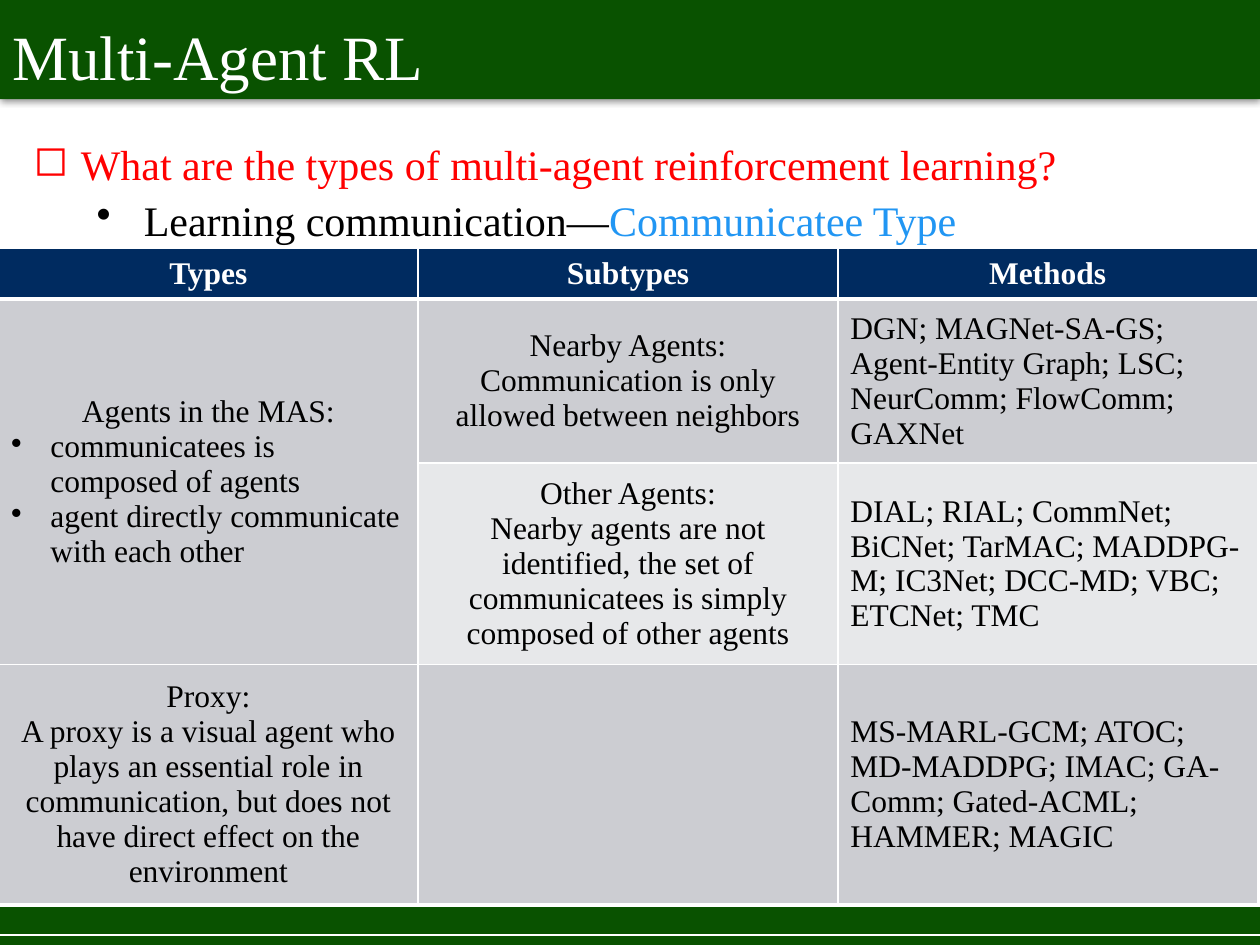
from lxml import etree
from pptx import Presentation
from pptx.dml.color import RGBColor
from pptx.enum.shapes import MSO_CONNECTOR as Connector, MSO_SHAPE as Shape
from pptx.enum.text import MSO_ANCHOR as Anchor, PP_ALIGN as Align
from pptx.oxml import parse_xml
from pptx.oxml.ns import nsdecls, qn
from pptx.util import Cm, Pt

FONT = "Times New Roman"
GREEN = RGBColor(0x09, 0x52, 0x00)
WHITE = RGBColor(0xFF, 0xFF, 0xFF)
BLACK = RGBColor(0x00, 0x00, 0x00)
RED = RGBColor(0xFF, 0x00, 0x00)
BLUE = RGBColor(0x21, 0x96, 0xF3)
NAVY = RGBColor(0x00, 0x2B, 0x60)
GREY = RGBColor(0xCC, 0xCD, 0xD2)
PALE = RGBColor(0xE7, 0xE8, 0xEA)


def set_bullet(para, mark, left, hanging):
    props = para._p.get_or_add_pPr()
    props.set("marL", str(Cm(left)))
    props.set("indent", str(-Cm(hanging)))
    etree.SubElement(props, qn("a:buChar")).set("char", mark)


def style(para, size, color, bold=False):
    para.font.name = FONT
    para.font.size = Pt(size)
    para.font.bold = bold
    para.font.color.rgb = color


deck = Presentation()
deck.slide_width, deck.slide_height = Cm(25.4), Cm(19.05)
page = deck.slides.add_slide(deck.slide_layouts[6])

# Footer and header bands
for top, height in ((18.29, 0.76), (-0.03, 2.03)):
    band = page.shapes.add_shape(Shape.RECTANGLE, 0, Cm(top), Cm(25.4), Cm(height))
    band.shadow.inherit = False
    band.fill.solid()
    band.fill.fore_color.rgb = GREEN
    band.line.fill.background()

# Soft shadow under the header, the last band drawn
effects = band._element.spPr.find(qn("a:effectLst"))
effects.append(parse_xml(
    f'<a:outerShdw {nsdecls("a")} blurRad="{Pt(4)}" dist="{Pt(1)}" dir="5400000" '
    'rotWithShape="0"><a:srgbClr val="000000"><a:alpha val="40000"/></a:srgbClr>'
    '</a:outerShdw>'))

# Footer rule
rule = page.shapes.add_connector(Connector.STRAIGHT, 0, Cm(18.85), Cm(25.4), Cm(18.85))
rule.line.color.rgb = WHITE
rule.line.width = Pt(0.75)
etree.SubElement(rule._element.spPr, qn("a:effectLst"))

# Title
box = page.shapes.add_textbox(0, Cm(0.08), Cm(25.4), Cm(1.8))
box.text_frame.word_wrap = True
para = box.text_frame.paragraphs[0]
para.text = "Multi-Agent RL"
para.line_spacing = 1.1
style(para, 36, WHITE)

# Question and answer
box = page.shapes.add_textbox(Cm(0.43), Cm(2.57), Cm(24.41), Cm(4.01))
box.text_frame.word_wrap = True
question = box.text_frame.paragraphs[0]
question.text = "What are the types of multi-agent reinforcement learning?"
question.line_spacing = 1.1
set_bullet(question, "◻", 0.95, 0.95)
style(question, 24, RED)

answer = box.text_frame.add_paragraph()
answer.level = 1
answer.line_spacing = 1.1
set_bullet(answer, "•", 2.22, 0.95)
style(answer, 24, BLACK)
for text, color in (("Learning communication—", BLACK), ("Communicatee Type", BLUE)):
    span = answer.add_run()
    span.text = text
    span.font.color.rgb = color

# Table: each cell is a list of paragraphs, "• " marks a bulleted one
rows = [
    [["Types"], ["Subtypes"], ["Methods"]],
    [["Agents in the MAS:", "• communicatees is composed of agents",
      "• agent directly communicate with each other"],
     ["Nearby Agents:", "Communication is only allowed between neighbors"],
     ["DGN; MAGNet-SA-GS; Agent-Entity Graph; LSC; NeurComm; FlowComm; GAXNet"]],
    [[],
     ["Other Agents:", "Nearby agents are not identified, the set of "
      "communicatees is simply composed of other agents"],
     ["DIAL; RIAL; CommNet; BiCNet; TarMAC; MADDPG-M; IC3Net; DCC-MD; VBC; "
      "ETCNet; TMC"]],
    [["Proxy:", "A proxy is a visual agent who plays an essential role in "
      "communication, but does not have direct effect on the environment"],
     [],
     ["MS-MARL-GCM; ATOC; MD-MADDPG; IMAC; GA-Comm; Gated-ACML; HAMMER; MAGIC"]],
]
row_heights = [1.03, 3.27, 4.06, 4.82]
row_fills = [NAVY, GREY, PALE, GREY]

table = page.shapes.add_table(
    4, 3, Cm(-0.03), Cm(5), Cm(25.38), Cm(sum(row_heights))).table
for column in table.columns:
    column.width = Cm(8.46)

for r, row in enumerate(rows):
    table.rows[r].height = Cm(row_heights[r])
    header = r == 0
    for c, texts in enumerate(row):
        cell = table.cell(r, c)
        cell.vertical_anchor = Anchor.MIDDLE
        cell.fill.solid()
        cell.fill.fore_color.rgb = row_fills[r]

        for i, text in enumerate(texts):
            frame = cell.text_frame
            para = frame.add_paragraph() if i else frame.paragraphs[0]
            para.text = text.removeprefix("• ")
            if text.startswith("• "):
                set_bullet(para, "•", 0.79, 0.79)
            elif header or c < 2:
                para.alignment = Align.CENTER
            style(para, 18, WHITE if header else BLACK, header)

        # White borders, thick below the header and placed before the fill
        for i, side in enumerate("LRTB"):
            thick = (header and side == "B") or (r == 1 and side == "T")
            cell._tc.get_or_add_tcPr().insert(i, parse_xml(
                f'<a:ln{side} {nsdecls("a")} w="{Pt(3 if thick else 1)}"><a:solidFill>'
                f'<a:srgbClr val="{WHITE}"/></a:solidFill></a:ln{side}>'))

table.cell(1, 0).merge(table.cell(2, 0))

deck.save("out.pptx")
